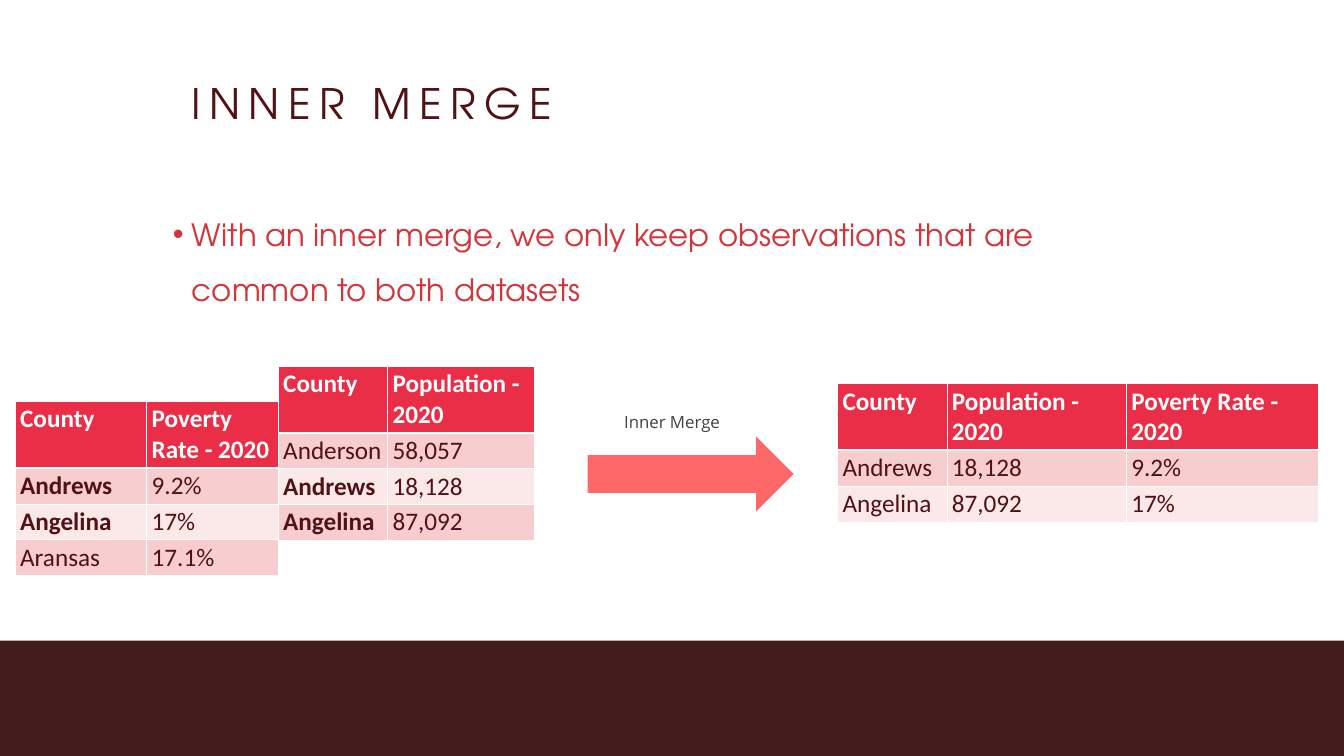
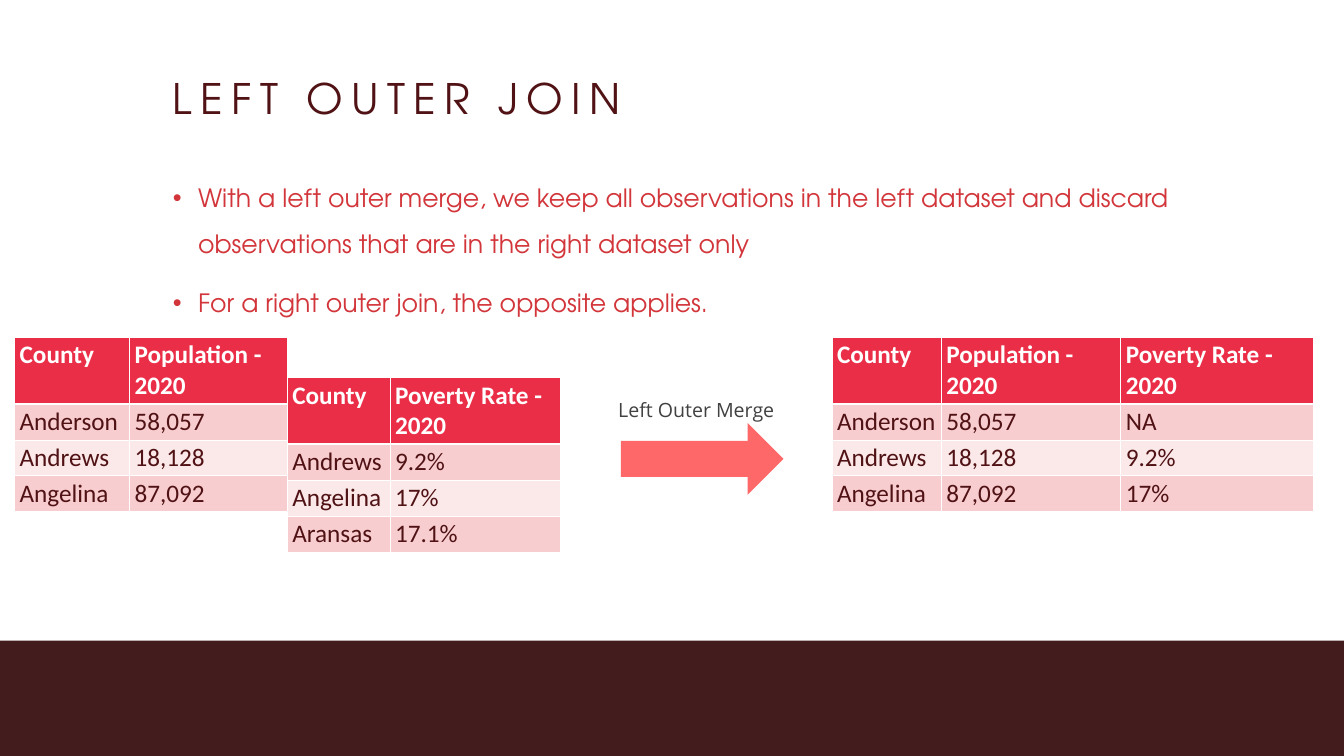
"""Build two slides that explain inner merges and left outer joins."""
import pptx
import pptx.dml.color
import pptx.enum.shapes
import pptx.enum.text
import pptx.oxml
import pptx.oxml.ns
import pptx.util
from pptx.util import Inches

WHITE, DARK, BAND = "FFFFFF", "501214", "431C1D"
BULLET_RED, HEADER, ARROW, GREY = "D2353A", "EB2E47", "FE6869", "414141"
STRIPES = ("F7CDCF", "FBE8E9")
TITLE_FONT, TABLE_FONT, LABEL_FONT = "TeX Gyre Adventor", "Calibri", "Open Sans"
HEADER_HEIGHT, ROW_HEIGHT = 1.3, 0.7

COUNTY, POPULATION, POVERTY = "County", "Population - 2020", "Poverty Rate - 2020"
POPULATION_ROWS = [(COUNTY, POPULATION), ("Anderson", "58,057"),
                   ("Andrews", "18,128"), ("Angelina", "87,092")]
POVERTY_ROWS = [(COUNTY, POVERTY), ("Andrews", "9.2%"),
                ("Angelina", "17%"), ("Aransas", "17.1%")]
INNER_ROWS = [(COUNTY, POPULATION, POVERTY), ("Andrews", "18,128", "9.2%"),
              ("Angelina", "87,092", "17%")]
LEFT_ROWS = [INNER_ROWS[0], ("Anderson", "58,057", "NA"), *INNER_ROWS[1:]]
MERGED_COLS = (2.17, 3.56, 3.82)


def rgb(color):
    return pptx.dml.color.RGBColor.from_string(color)


def format_runs(p, font, size, color, bold=False):
    for r in p.runs:
        r.font.name = font
        r.font.size = pptx.util.Pt(size)
        r.font.color.rgb = rgb(color)
        r.font.bold = bold


def place(sp, left, top, width, height):
    sp.left, sp.top = Inches(left), Inches(top)
    sp.width, sp.height = Inches(width), Inches(height)
    sp.text_frame.word_wrap = True
    sp.text_frame.auto_size = pptx.enum.text.MSO_AUTO_SIZE.NONE
    sp.text_frame.vertical_anchor = pptx.enum.text.MSO_ANCHOR.TOP


def add_filled_shape(s, kind, left, top, width, height, color):
    sp = s.shapes.add_shape(kind, Inches(left), Inches(top),
                            Inches(width), Inches(height))
    sp.shadow.inherit = False
    sp.fill.solid()
    sp.fill.fore_color.rgb = rgb(color)
    sp.line.fill.background()


def add_slide(prs, title, left, top):
    s = prs.slides.add_slide(prs.slide_layouts[1])
    add_filled_shape(s, pptx.enum.shapes.MSO_SHAPE.RECTANGLE,
                     0, 12.71, 26.67, 2.29, BAND)
    sp = s.shapes.title
    place(sp, left, top, 20, 1.25)
    sp.text_frame.text = title
    p = sp.text_frame.paragraphs[0]
    p.alignment = pptx.enum.text.PP_ALIGN.LEFT
    p.line_spacing = 0.9
    format_runs(p, TITLE_FONT, 60, DARK)
    for r in p.runs:
        r.font._element.set("spc", "1200")
    return s


def add_bullets(s, texts, top, size, indent, space_before=0):
    sp = s.placeholders[1]
    place(sp, 3.33, top, 20, 7.25)
    tf = sp.text_frame
    tf.text = "\n".join(texts)
    for p in tf.paragraphs:
        p.line_spacing = 1.5
        p.space_before = pptx.util.Pt(space_before)
        format_runs(p, TITLE_FONT, size, BULLET_RED)
        pPr = p._p.get_or_add_pPr()
        pPr.set("marL", str(Inches(indent)))
        pPr.set("indent", str(-Inches(indent)))
        pPr.append(pptx.oxml.parse_xml(
            f'<a:buChar {pptx.oxml.ns.nsdecls("a")} char="•"/>'))


def set_borders(cell, top, bottom):
    tcPr = cell._tc.get_or_add_tcPr()
    for side, width in (("L", 1), ("R", 1), ("T", top), ("B", bottom)):
        tcPr.append(pptx.oxml.parse_xml(
            f'<a:ln{side} {pptx.oxml.ns.nsdecls("a")} w="{pptx.util.Pt(width)}">'
            f'<a:solidFill><a:srgbClr val="{WHITE}"/></a:solidFill></a:ln{side}>'))


def add_data_table(s, rows, left, top, widths, bold_names=()):
    height = HEADER_HEIGHT + ROW_HEIGHT * (len(rows) - 1)
    table = s.shapes.add_table(len(rows), len(widths), Inches(left), Inches(top),
                               Inches(sum(widths)), Inches(height)).table
    for column, width in zip(table.columns, widths):
        column.width = Inches(width)
    for i, row in enumerate(rows):
        is_header = i == 0
        table.rows[i].height = Inches(HEADER_HEIGHT if is_header else ROW_HEIGHT)
        for j, text in enumerate(row):
            cell = table.cell(i, j)
            cell.text_frame.text = text
            format_runs(cell.text_frame.paragraphs[0], TABLE_FONT, 36,
                        WHITE if is_header else DARK,
                        is_header or text in bold_names)
            set_borders(cell, 3 if i == 1 else 1, 3 if is_header else 1)
            cell.fill.solid()
            cell.fill.fore_color.rgb = rgb(HEADER if is_header else STRIPES[(i - 1) % 2])


def add_arrow(s, left, top, width, height):
    add_filled_shape(s, pptx.enum.shapes.MSO_SHAPE.RIGHT_ARROW,
                     left, top, width, height, ARROW)


def add_label(s, text, left, top, height, size):
    sp = s.shapes.add_textbox(0, 0, 0, 0)
    place(sp, left, top, 3.49, height)
    sp.text_frame.text = text
    p = sp.text_frame.paragraphs[0]
    p.alignment = pptx.enum.text.PP_ALIGN.CENTER
    format_runs(p, LABEL_FONT, size, GREY)


def add_inner_merge(prs):
    s = add_slide(prs, "INNER MERGE", 3.7, 1.61)
    add_bullets(s, ["With an inner merge, we only keep observations that are "
                    "common to both datasets"], 3.86, 44, 0.38)
    shared = ("Andrews", "Angelina")
    add_data_table(s, POVERTY_ROWS, 0.3, 7.96, (2.61, 2.61), shared)
    add_data_table(s, INNER_ROWS, 16.62, 7.61, MERGED_COLS)
    add_data_table(s, POPULATION_ROWS, 5.52, 7.26, (2.17, 2.91), shared)
    add_arrow(s, 11.66, 8.66, 4.09, 1.49)
    add_label(s, "Inner Merge", 11.59, 8.11, 0.5, 24)


def add_left_outer_join(prs):
    s = add_slide(prs, "LEFT OUTER JOIN", 3.33, 1.5)
    add_bullets(s, ["With a left outer merge, we keep all observations in the left "
                    "dataset and discard observations that are in the right dataset only",
                    "For a right outer join, the opposite applies."],
                3.27, 36, 0.5, 20)
    add_data_table(s, LEFT_ROWS, 16.51, 6.69, MERGED_COLS)
    add_data_table(s, POVERTY_ROWS, 5.7, 7.49, (2.04, 3.37))
    add_data_table(s, POPULATION_ROWS, 0.29, 6.69, (2.28, 3.13))
    add_arrow(s, 12.32, 8.39, 3.23, 1.43)
    add_label(s, "Left Outer Merge", 12.07, 7.84, 0.57, 28)


def main():
    prs = pptx.Presentation()
    prs.slide_width, prs.slide_height = Inches(26.67), Inches(15)
    add_inner_merge(prs)
    add_left_outer_join(prs)
    prs.save("out.pptx")


if __name__ == "__main__":
    main()
